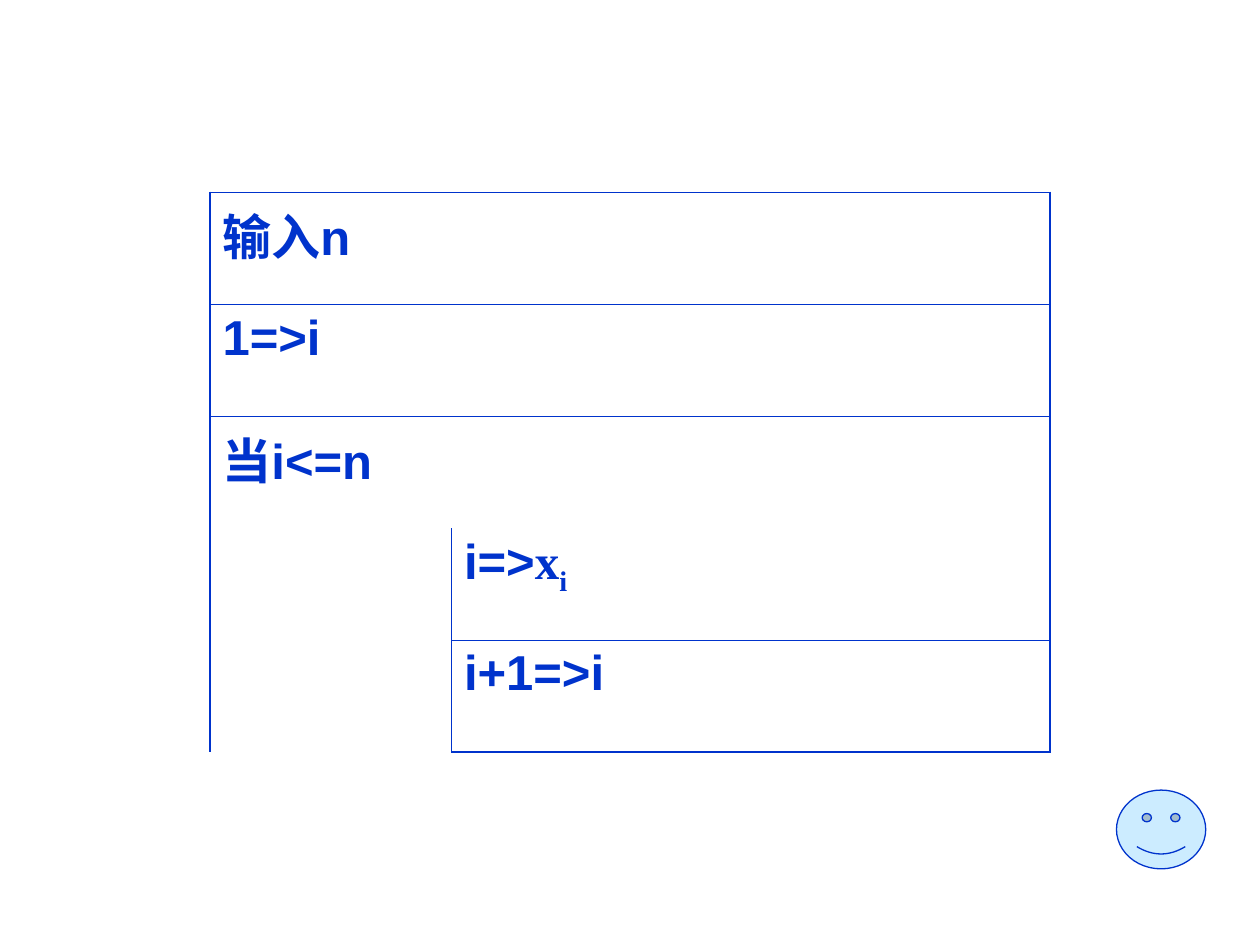
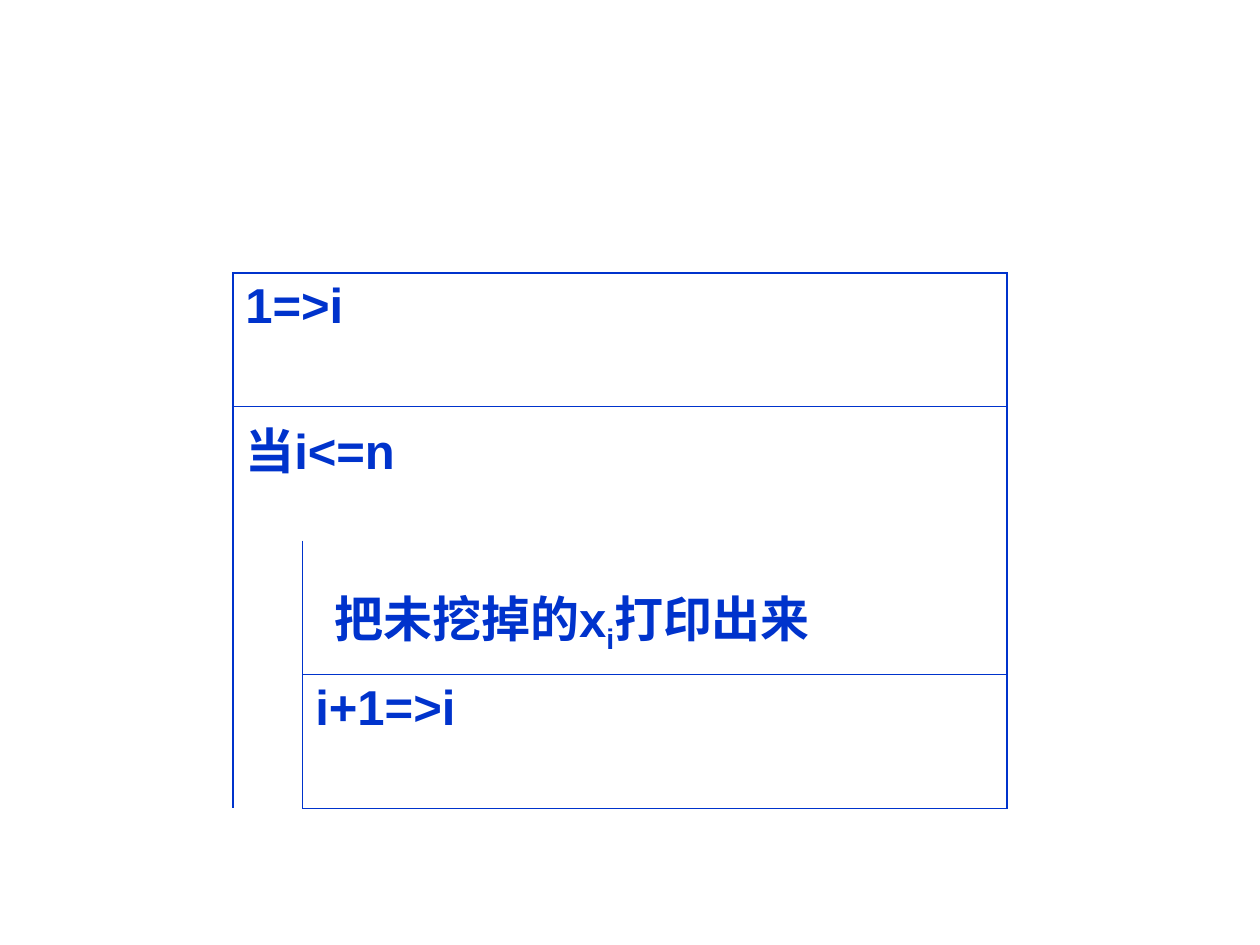
from lxml import etree
from pptx import Presentation
from pptx.dml.color import RGBColor
from pptx.enum.shapes import MSO_SHAPE
from pptx.oxml.ns import qn
from pptx.util import Pt

SMILEY = MSO_SHAPE.SMILEY_FACE
COLORS = {"ink": "0033CC", "face": "CCECFF"}
NO_GRID_STYLE = "{2D5ABB26-0587-4C30-8999-92F81FD0307C}"
OUTER, INNER, NONE = 1.08, 0.45, 0
SUB = {"baseline": -25000}


def rgb(name):
    return RGBColor.from_string(COLORS[name])


def add_run(p, text, font="Arial", size=28, color="ink", bold=True, baseline=0):
    r = p.add_run()
    r.text = text
    r.font.name, r.font.size, r.font.bold = font, Pt(size), bold
    r.font.color.rgb = rgb(color)
    if baseline:
        r.font._element.set("baseline", str(baseline))


def write(tf, runs):
    """Write (text, format) pairs into the first paragraph."""
    for text, fmt in runs:
        add_run(tf.paragraphs[0], text, **fmt)


def set_border(cell, side, width):
    tcPr = cell._tc.get_or_add_tcPr()
    ln = etree.SubElement(tcPr, qn(f"a:ln{side}"), w=str(Pt(width)))
    if width:
        fill = etree.SubElement(ln, qn("a:solidFill"))
        etree.SubElement(fill, qn("a:srgbClr"), val=COLORS["ink"])
    else:
        etree.SubElement(ln, qn("a:noFill"))


class Deck:
    def __init__(self):
        self.prs = Presentation()
        self.prs.slide_width, self.prs.slide_height = Pt(720), Pt(540)
        self.s = None

    def slide(self):
        self.s = self.prs.slides.add_slide(self.prs.slide_layouts[6])

    def loop_chart(self, x, y, cols, row_h, steps, body):
        """Structure chart: full-width steps, the last one heading a loop body."""
        head, n = len(steps), len(steps) + len(body)
        frame = self.s.shapes.add_table(n, 2, Pt(x), Pt(y), Pt(sum(cols)), Pt(n * row_h))
        table = frame.table
        table.first_row = table.horz_banding = False
        table._tbl.tblPr.find(qn("a:tableStyleId")).text = NO_GRID_STYLE
        for col, w in zip(table.columns, cols):
            col.width = Pt(w)
        for row in table.rows:
            row.height = Pt(row_h)

        # Line above each row; the loop heading stays open to its body
        def line_above(i, j):
            if i in (0, n):
                return OUTER
            return NONE if i == head or (i > head and j == 0) else INNER

        for i in range(n):
            middle = INNER if i >= head else NONE
            for j in range(2):
                cell = table.cell(i, j)
                # The first cell of a full-width step carries both outer edges
                right = OUTER if j == 1 or i < head else middle
                set_border(cell, "L", middle if j else OUTER)
                set_border(cell, "R", right)
                set_border(cell, "T", line_above(i, j))
                set_border(cell, "B", line_above(i + 1, j))
                cell.fill.background()

        # Merged cells and wording
        for i, runs in enumerate(steps):
            table.cell(i, 0).merge(table.cell(i, 1))
            write(table.cell(i, 0).text_frame, runs)
        table.cell(head, 0).merge(table.cell(n - 1, 0))
        for i, runs in enumerate(body, head):
            write(table.cell(i, 1).text_frame, runs)

    def text(self, x, y, w, h, runs):
        tf = self.s.shapes.add_textbox(Pt(x), Pt(y), Pt(w), Pt(h)).text_frame
        tf.word_wrap = True
        write(tf, runs)

    def shape(self, kind, x, y, w, h, fill, line="ink", width=0.75):
        sp = self.s.shapes.add_shape(kind, Pt(x), Pt(y), Pt(w), Pt(h))
        sp.shadow.inherit = False
        sp.fill.solid()
        sp.fill.fore_color.rgb = rgb(fill)
        sp.line.color.rgb = rgb(line)
        sp.line.width = Pt(width)


def main():
    deck = Deck()
    start = [("1=>i", {})]
    condition = [("当i<=n", {})]
    advance = [("i+1=>i", {})]
    serif = {"font": "Times New Roman"}

    # Slide 1: fill the numbers
    deck.slide()
    number = [("i=>", {}), ("x", serif), ("i", {**serif, **SUB})]
    deck.loop_chart(120, 110, (138, 342), 64,
                    [[("输入n", {})], start, condition], [number, advance])
    deck.shape(SMILEY, 638, 451.5, 51, 45, "face")

    # Slide 2: print what remains
    deck.slide()
    deck.loop_chart(133, 156, (40, 402.5), 76.5, [start, condition], [[], advance])
    deck.text(184, 332.5, 323, 45,
              [("把未挖掉的x", {}), ("i", SUB), ("打印出来", {})])

    deck.prs.save("out.pptx")


if __name__ == "__main__":
    main()
